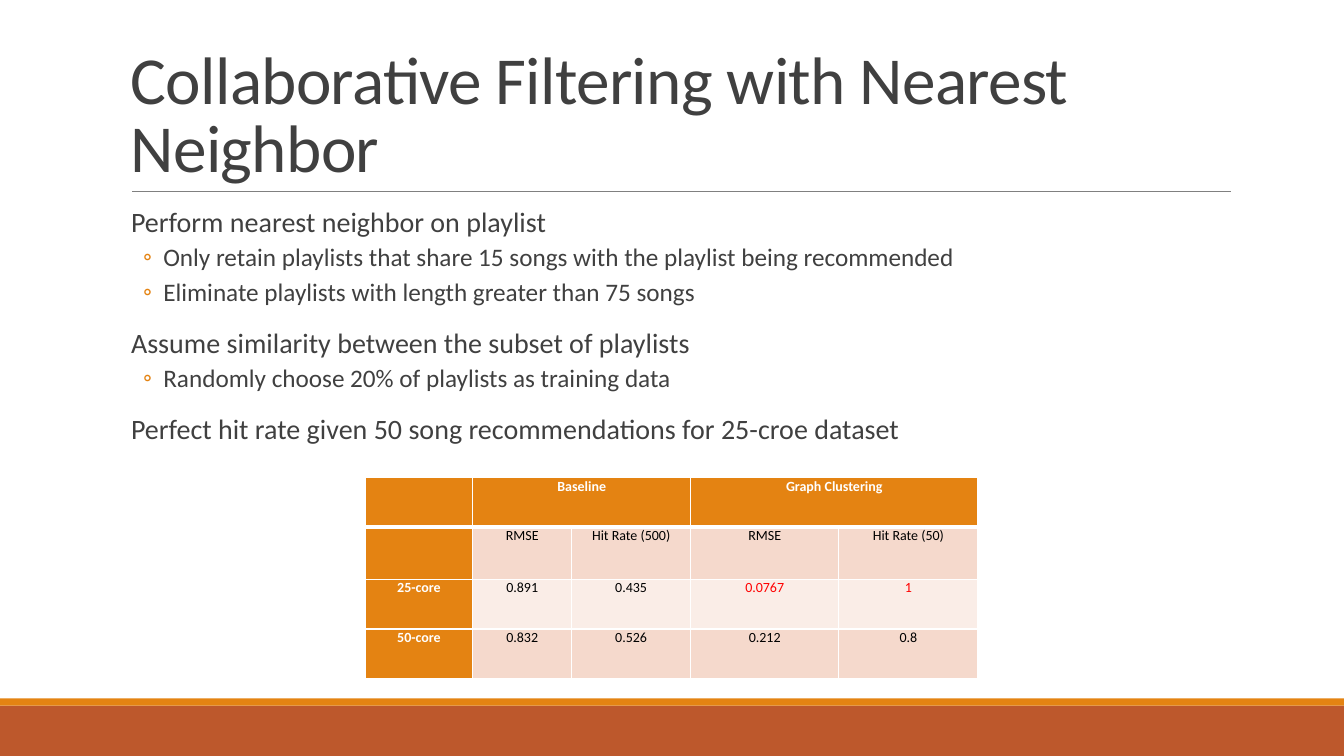
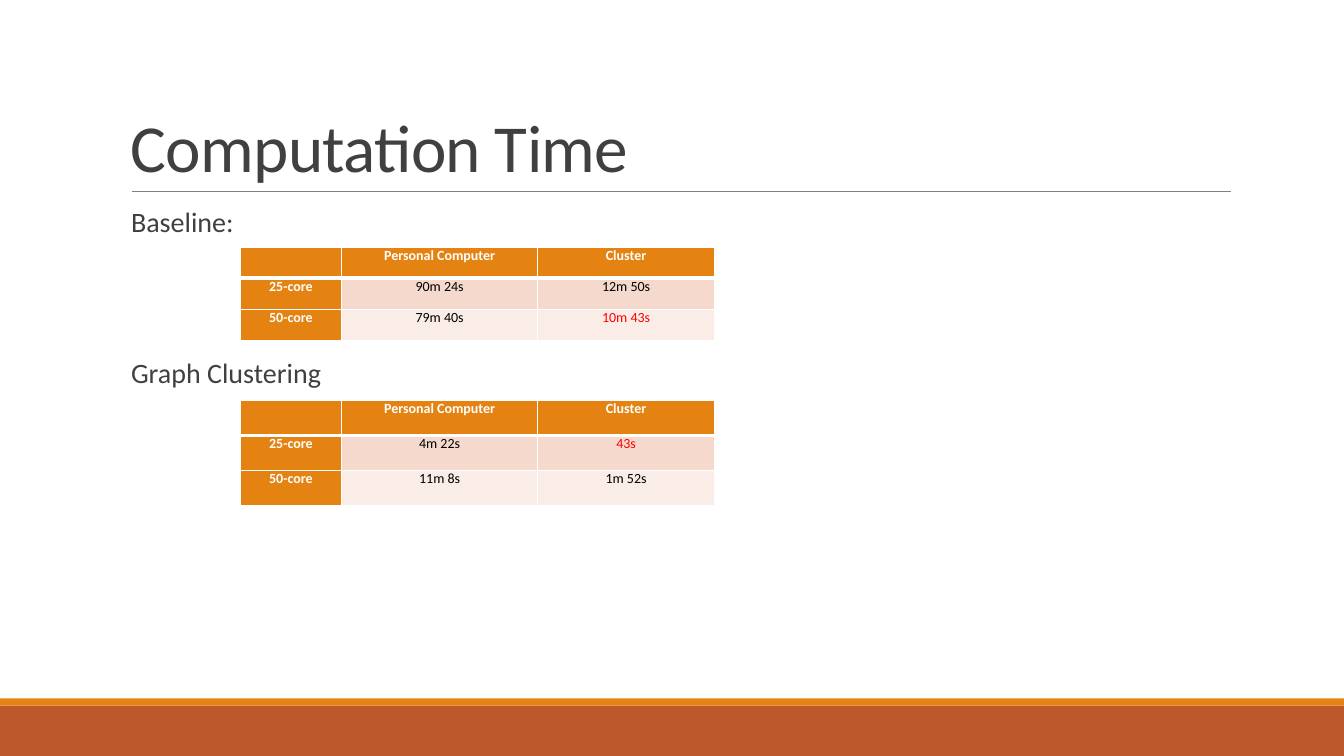
from lxml import etree
from pptx import Presentation
from pptx.dml.color import RGBColor
from pptx.enum.shapes import MSO_CONNECTOR, MSO_SHAPE
from pptx.enum.text import MSO_ANCHOR, PP_ALIGN
from pptx.oxml.ns import qn
from pptx.util import Inches, Pt

FONT = "Calibri"
ORANGE, RUST = "E48312", "BD582C"
INK, GRAY = "404040", "808080"
WHITE, BLACK, RED = "FFFFFF", "000000", "FF0000"
DARK_BAND, LIGHT_BAND = "F5D9CC", "FAEDE7"
SLIDE_WIDTH, SLIDE_HEIGHT = 13.33, 7.5
TEXT_LEFT, TEXT_WIDTH = 1.2, 11


def rgb(color):
    return RGBColor.from_string(color)


def add_text(paragraph, text, size=20, color=INK, bold=False, align=PP_ALIGN.LEFT,
             line_spacing=None, before=0, after=0, tracking=None):
    paragraph.alignment = align
    paragraph.line_spacing = line_spacing
    paragraph.space_before = Pt(before)
    paragraph.space_after = Pt(after)
    run = paragraph.add_run()
    run.text = text
    run.font.name = FONT
    run.font.size = Pt(size)
    run.font.bold = bold
    run.font.color.rgb = rgb(color)
    if tracking is not None:
        run._r.get_or_add_rPr().set("spc", str(round(tracking * 100)))


def set_indent(paragraph, left, first=0, bullet=None):
    properties = paragraph._p.get_or_add_pPr()
    properties.set("marL", str(Inches(left)))
    properties.set("indent", str(Inches(first)))
    if bullet:
        bullet_color = etree.SubElement(properties, qn("a:buClr"))
        etree.SubElement(bullet_color, qn("a:srgbClr"), val=ORANGE)
        etree.SubElement(properties, qn("a:buFont"), typeface=FONT)
        etree.SubElement(properties, qn("a:buChar"), char=bullet)


def add_frame(slide, top, height, side_inset, anchor=MSO_ANCHOR.TOP):
    box = slide.shapes.add_textbox(Inches(TEXT_LEFT), Inches(top),
                                   Inches(TEXT_WIDTH), Inches(height))
    frame = box.text_frame
    frame.word_wrap = True
    frame.vertical_anchor = anchor
    frame.margin_left = frame.margin_right = Inches(side_inset)
    frame.margin_top = frame.margin_bottom = Inches(0.05)
    return frame


def add_band(slide, top, height, color):
    band = slide.shapes.add_shape(MSO_SHAPE.RECTANGLE, 0, Inches(top),
                                  Inches(SLIDE_WIDTH), Inches(height))
    band.shadow.inherit = False
    band.fill.solid()
    band.fill.fore_color.rgb = rgb(color)
    band.line.fill.background()


def add_title_rule(slide):
    rule = slide.shapes.add_connector(MSO_CONNECTOR.STRAIGHT, Inches(1.31), Inches(1.9),
                                      Inches(12.21), Inches(1.9))
    rule.line.color.rgb = rgb(GRAY)
    rule.line.width = Pt(0.5)
    etree.SubElement(rule._element.spPr, qn("a:effectLst"))


def add_titled_slide(presentation, title):
    slide = presentation.slides.add_slide(presentation.slide_layouts[6])
    add_band(slide, 7, 0.5, RUST)
    add_band(slide, 6.93, 0.07, ORANGE)
    add_title_rule(slide)
    frame = add_frame(slide, 0.31, 1.59, 0.1, MSO_ANCHOR.BOTTOM)
    add_text(frame.paragraphs[0], title, size=48, line_spacing=0.85, tracking=-0.5)
    return slide


def add_body(slide, items, heading_gap=12):
    frame = add_frame(slide, 2.02, 4.4, 0)
    for index, (level, text) in enumerate(items):
        paragraph = frame.add_paragraph() if index else frame.paragraphs[0]
        if level:
            add_text(paragraph, text, size=18, line_spacing=0.9, before=2, after=4)
            set_indent(paragraph, 0.42, -0.2, "◦")
        else:
            add_text(paragraph, text, line_spacing=0.9,
                     before=heading_gap if index else 12, after=2)
            set_indent(paragraph, 0.1)


def set_borders(cell, top, bottom):
    properties = cell._tc.get_or_add_tcPr()
    widths = {"a:lnL": 1, "a:lnR": 1, "a:lnT": top, "a:lnB": bottom}
    for position, (tag, width) in enumerate(widths.items()):
        line = etree.Element(qn(tag), w=str(Pt(width)))
        fill = etree.SubElement(line, qn("a:solidFill"))
        etree.SubElement(fill, qn("a:srgbClr"), val=WHITE)
        properties.insert(position, line)


def format_cell(cell, text, row, column, highlighted):
    is_header = row == 0 or column == 0
    cell.margin_left = cell.margin_right = Inches(0.07)
    cell.margin_top = cell.margin_bottom = 0
    cell.fill.solid()
    band = DARK_BAND if row % 2 else LIGHT_BAND
    cell.fill.fore_color.rgb = rgb(ORANGE if is_header else band)
    set_borders(cell, top=3 if row == 1 else 1, bottom=3 if row == 0 else 1)
    color = WHITE if is_header else RED if highlighted else BLACK
    add_text(cell.text_frame.paragraphs[0], text, size=10, color=color,
             bold=is_header, align=PP_ALIGN.CENTER)


def add_data_table(slide, left, top, widths, heights, rows, highlights=(), header_spans=()):
    frame = slide.shapes.add_table(len(heights), len(widths), Inches(left), Inches(top),
                                   Inches(sum(widths)), Inches(sum(heights)))
    table = frame.table
    for column, width in zip(table.columns, widths):
        column.width = Inches(width)
    for table_row, height in zip(table.rows, heights):
        table_row.height = Inches(height)
    for row, texts in enumerate(rows):
        for column, text in enumerate(texts):
            format_cell(table.cell(row, column), text, row, column,
                        (row, column) in highlights)
    for first, last in header_spans:
        table.cell(0, first).merge(table.cell(0, last))


def add_time_table(slide, top, row_height, times, highlight):
    rows = [("", "Personal Computer", "Cluster"),
            ("25-core", *times[0]),
            ("50-core", *times[1])]
    add_data_table(slide, 2.38, top, [1.01, 1.94, 1.76], [row_height] * 3, rows, [highlight])


def add_filtering_slide(presentation):
    slide = add_titled_slide(presentation, "Collaborative Filtering with Nearest Neighbor")
    add_body(slide, [
        (0, "Perform nearest neighbor on playlist"),
        (1, "Only retain playlists that share 15 songs with the playlist being recommended"),
        (1, "Eliminate playlists with length greater than 75 songs"),
        (0, "Assume similarity between the subset of playlists"),
        (1, "Randomly choose 20% of playlists as training data"),
        (0, "Perfect hit rate given 50 song recommendations for 25-croe dataset"),
    ])
    rows = [
        ("", "Baseline", "", "Graph Clustering", ""),
        ("", "RMSE", "Hit Rate (500)", "RMSE", "Hit Rate (50)"),
        ("25-core", "0.891", "0.435", "0.0767", "1"),
        ("50-core", "0.832", "0.526", "0.212", "0.8"),
    ]
    add_data_table(slide, 3.62, 4.74, [1.07, 0.98, 1.18, 1.47, 1.38],
                   [0.49, 0.52, 0.49, 0.49], rows,
                   highlights=[(2, 3), (2, 4)], header_spans=[(1, 2), (3, 4)])


def add_time_slide(presentation):
    slide = add_titled_slide(presentation, "Computation Time")
    add_body(slide, [(0, "Baseline:"), (0, "Graph Clustering")], heading_gap=84)
    add_time_table(slide, 2.45, 0.31, [("90m 24s", "12m 50s"), ("79m 40s", "10m 43s")], (2, 2))
    add_time_table(slide, 3.97, 0.35, [("4m 22s", "43s"), ("11m 8s", "1m 52s")], (1, 2))


def main():
    presentation = Presentation()
    presentation.slide_width = Inches(SLIDE_WIDTH)
    presentation.slide_height = Inches(SLIDE_HEIGHT)
    add_filtering_slide(presentation)
    add_time_slide(presentation)
    presentation.save("out.pptx")


if __name__ == "__main__":
    main()
